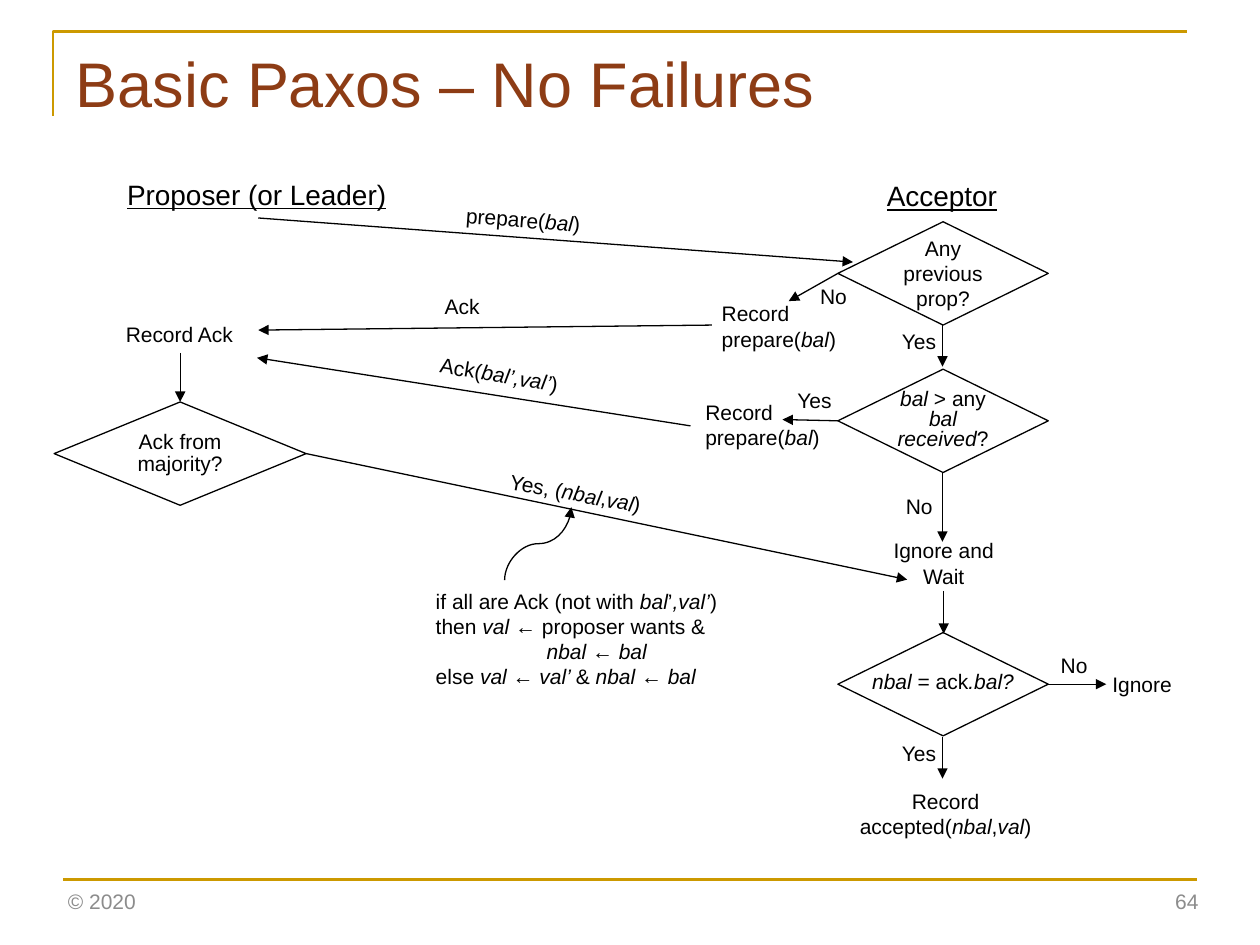
from dataclasses import dataclass

from lxml.etree import SubElement
from pptx import Presentation
from pptx.dml.color import RGBColor
from pptx.enum.shapes import MSO_CONNECTOR as Conn, MSO_SHAPE as Shape
from pptx.enum.text import MSO_ANCHOR as Anchor, MSO_AUTO_SIZE as AutoSize, PP_ALIGN as Align
from pptx.oxml.ns import qn
from pptx.util import Inches, Pt

COLORS = {"text": "000000", "title": "8D3C15", "rule": "CC9900", "footer": "8C8C8C"}
DIAMOND_H = 0.82
THEN_INDENT = 0.88


@dataclass
class Label:
    """Text box; *stars* mark italics and line feeds mark paragraphs."""
    text: str
    x: float
    y: float
    w: float
    h: float = 0.3
    align: Align = Align.LEFT
    size: int = 12
    color: str = "text"
    underline: bool = False
    wrap: bool = False
    angle: float = 0
    anchor: Anchor = Anchor.TOP


@dataclass
class Decision:
    text: str
    x: float
    y: float
    w: float = 1.67
    spacing: float | None = None
    inset: float = 0
    wrap: bool = True


@dataclass
class Arrow:
    x1: float
    y1: float
    x2: float
    y2: float


LABELS = [
    Label("Proposer (or Leader)", 0.91, 1.36, 2.29, 0.37, size=16, underline=True),
    Label("Acceptor", 6.94, 1.37, 1.09, 0.37, size=16, underline=True),
    # Messages
    Label("prepare(*bal*)", 3.6, 1.6, 1.28, wrap=True, angle=4.5),
    Label("Ack", 3.43, 2.28, 0.58, wrap=True),
    Label("Ack(*bal’,val’*)", 3.39, 2.84, 1.35, wrap=True, angle=9.5),
    Label("Yes, (*nbal*,*val*)", 3.94, 3.81, 1.76, wrap=True, angle=10.5),
    # Steps
    Label("Record Ack", 0.9, 2.5, 1.06),
    Label("Record\nprepare(*bal*)", 5.63, 2.34, 1.13, 0.5),
    Label("Record\nprepare(*bal*)", 5.5, 3.12, 1.13, 0.5),
    Label("Ignore and\nWait", 6.99, 4.22, 1, 0.5, Align.CENTER),
    Label("Ignore", 8.73, 5.28, 0.68),
    Label("Record\naccepted(*nbal*,*val*)", 6.71, 6.21, 1.59, 0.5, Align.CENTER),
    # Branches
    Label("No", 6.41, 2.2, 0.42),
    Label("Yes", 7.06, 2.56, 0.48),
    Label("Yes", 6.23, 3.03, 0.48),
    Label("No", 7.09, 3.87, 0.42),
    Label("No", 8.32, 5.13, 0.42),
    Label("Yes", 7.06, 5.83, 0.48),
    # Footer
    Label("© 2020", 0.44, 6.95, 3.38, 0.4, color="footer", wrap=True, anchor=Anchor.MIDDLE),
    Label("64", 7.36, 6.95, 2.25, 0.4, Align.RIGHT, color="footer", wrap=True,
          anchor=Anchor.MIDDLE),
]
VALUE_RULE = Label(
    "if all are Ack (not with *bal*’*,val’*)\nthen *val ← *proposer wants &\n"
    "*nbal ← bal*\nelse *val ← val’ *& *nbal ← bal*", 3.36, 4.62, 2.45, 0.91)

DECISIONS = [
    Decision("Ack from majority?", 0.43, 3.19, 2, 12.8, 0.1),
    Decision("Any previous prop?", 6.65, 1.76),
    Decision("*bal* > any *bal received*?", 6.65, 2.93, spacing=11.4),
    Decision("*nbal* = ack*.bal?*", 6.65, 5.02, spacing=11.4, wrap=False),
]

ARROWS = [
    # Between the two roles
    Arrow(2.05, 1.73, 6.77, 2.08), Arrow(5.65, 2.58, 2.05, 2.62),
    Arrow(5.48, 3.38, 2.04, 2.84), Arrow(2.43, 3.6, 7.2, 4.6),
    # Within the proposer
    Arrow(1.43, 2.8, 1.43, 3.19),
    # Within the acceptor
    Arrow(6.65, 2.17, 6.26, 2.39), Arrow(7.48, 2.58, 7.48, 2.91),
    Arrow(6.65, 3.34, 6.21, 3.33), Arrow(7.48, 3.75, 7.48, 4.3),
    Arrow(7.49, 4.69, 7.49, 5.03), Arrow(8.32, 5.43, 8.78, 5.43),
    Arrow(7.48, 5.85, 7.48, 6.18),
]


def rgb(name: str) -> RGBColor:
    return RGBColor.from_string(COLORS[name])


def write(tf, text: str, size: int = 12, color: str = "text", align: Align = Align.LEFT,
          underline: bool = False, spacing: float | None = None) -> None:
    for i, line in enumerate(text.split("\n")):
        p = tf.add_paragraph() if i else tf.paragraphs[0]
        p.alignment = align
        if spacing:
            p.line_spacing = Pt(spacing)
        for j, part in enumerate(line.split("*")):
            if not part:
                continue
            r = p.add_run()
            r.text = part
            formats = {"name": "Arial", "size": Pt(size), "italic": j % 2 == 1,
                       "underline": underline}
            for key, value in formats.items():
                setattr(r.font, key, value)
            r.font.color.rgb = rgb(color)


def set_line(sp, color: str, width: float) -> None:
    sp.line.color.rgb = rgb(color)
    sp.line.width = Pt(width)


def add_label(s, label: Label):
    sp = s.shapes.add_textbox(*map(Inches, (label.x, label.y, label.w, label.h)))
    sp.rotation = label.angle
    tf = sp.text_frame
    tf.word_wrap = label.wrap
    tf.vertical_anchor = label.anchor
    write(tf, label.text, label.size, label.color, label.align, label.underline)
    return sp


def add_decision(s, d: Decision) -> None:
    sp = s.shapes.add_shape(Shape.DIAMOND, *map(Inches, (d.x, d.y, d.w, DIAMOND_H)))
    sp.shadow.inherit = False
    sp.fill.background()
    set_line(sp, "text", 0.75)
    tf = sp.text_frame
    formats = {"word_wrap": d.wrap, "vertical_anchor": Anchor.MIDDLE,
               "margin_left": Inches(d.inset), "margin_right": Inches(d.inset)}
    for key, value in formats.items():
        setattr(tf, key, value)
    write(tf, d.text, align=Align.CENTER, spacing=d.spacing)


def add_line(s, a: Arrow, color: str = "text", width: float = 0.75,
             kind: Conn = Conn.STRAIGHT, head: bool = True):
    sp = s.shapes.add_connector(kind, *map(Inches, (a.x1, a.y1, a.x2, a.y2)))
    set_line(sp, color, width)
    if head:
        SubElement(sp.line._get_or_add_ln(), qn("a:tailEnd"), type="triangle")
    SubElement(sp._element.spPr, qn("a:effectLst"))
    return sp


def add_frame(s) -> None:
    fb = s.shapes.build_freeform(Inches(0.42), Inches(0.92))
    fb.add_line_segments([(Inches(0.42), Inches(0.25)), (Inches(9.42), Inches(0.25))],
                         close=False)
    sp = fb.convert_to_shape()
    sp.shadow.inherit = False
    sp.fill.background()
    set_line(sp, "rule", 1.5)
    add_line(s, Arrow(0.5, 6.98, 9.5, 6.98), "rule", 1.5, head=False)


def add_title(s, text: str) -> None:
    sp = s.shapes.title
    box = {"left": 0.5, "top": 0.3, "width": 9, "height": 1.25}
    for key, value in box.items():
        setattr(sp, key, Inches(value))
    tf = sp.text_frame
    tf.auto_size = AutoSize.NONE
    tf.vertical_anchor = Anchor.TOP
    write(tf, text, 36, "title")


def main() -> None:
    prs = Presentation()
    prs.slide_width, prs.slide_height = Inches(10), Inches(7.5)
    s = prs.slides.add_slide(prs.slide_layouts[5])
    add_frame(s)
    add_title(s, "Basic Paxos – No Failures")

    # Flow chart
    for d in DECISIONS:
        add_decision(s, d)
    for a in ARROWS:
        add_line(s, a)
    for label in LABELS:
        add_label(s, label)

    # Rule for choosing the value, with a quarter-turned curve up to its message
    tf = add_label(s, VALUE_RULE).text_frame
    tf.paragraphs[2]._p.get_or_add_pPr().set("marL", str(Inches(THEN_INDENT)))
    curve = add_line(s, Arrow(4.56, 4.58, 3.98, 4.05), kind=Conn.CURVE)
    curve._element.spPr.find(qn("a:xfrm")).set("rot", str(90 * 60000))

    prs.save("out.pptx")


if __name__ == "__main__":
    main()
